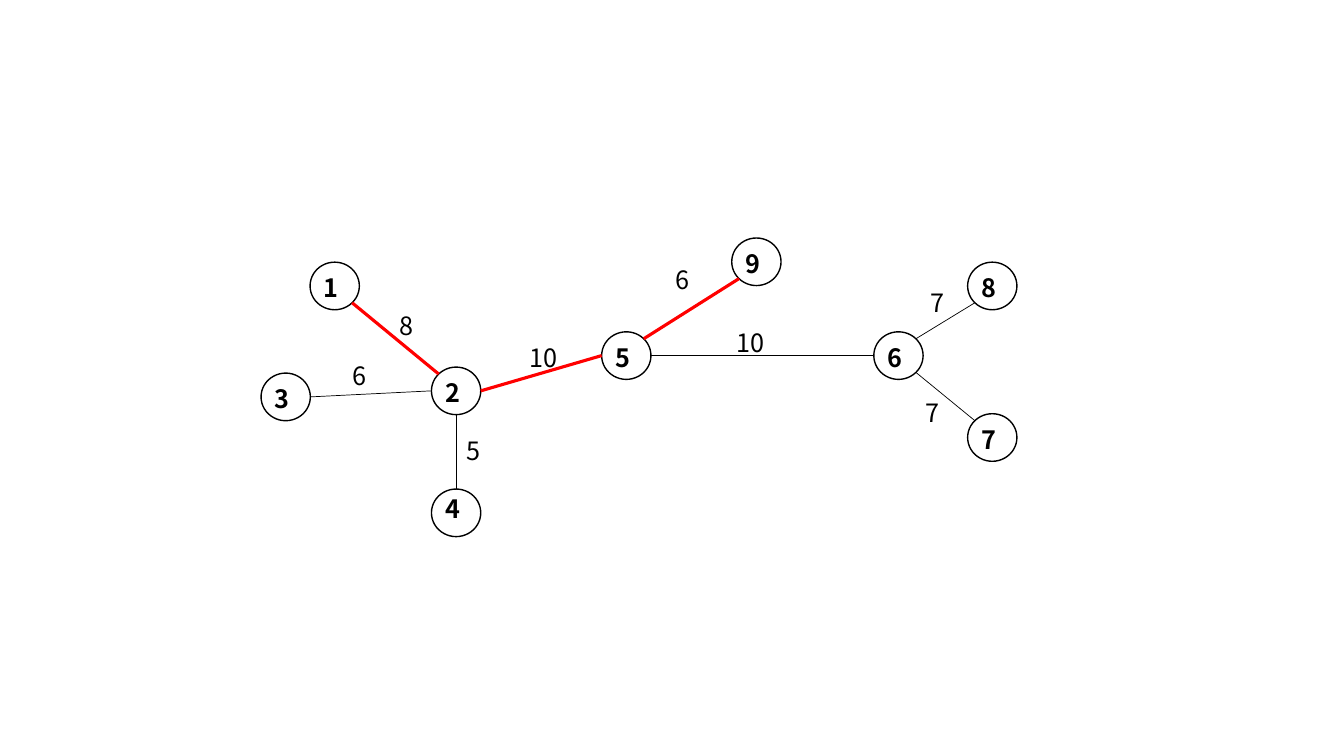
from pptx import Presentation
from pptx.dml.color import RGBColor
from pptx.enum.shapes import MSO_CONNECTOR, MSO_SHAPE
from pptx.enum.text import MSO_ANCHOR, MSO_AUTO_SIZE, PP_ALIGN
from pptx.oxml.ns import qn
from pptx.util import Pt
from lxml.etree import SubElement
from math import cos, radians, sin

FONT = "Noto Sans CJK KR"
BLACK, RED = "000000", "FF0000"
NODE_W, NODE_H = 35.2, 34

# Left and top of each node, from the corner of the graph
NODES = {
    "1": (35, 17.25), "2": (121.7, 92.2), "3": (0, 96.5),
    "4": (121.7, 179.3), "5": (243.3, 67), "6": (437.7, 67),
    "7": (504.7, 125.5), "8": (504.7, 17.25), "9": (336.2, 0),
}
# Top and bottom text margins
NODE_MARGINS = {"4": (0, 6)}
DEFAULT_MARGINS = (2.5, 0)

# Start, end, start angle (clockwise from the right), weight,
# label offset from the middle of the edge, on the red route
EDGES = [
    ("1", "2", 45, "8", (8, -9), True),
    ("3", "2", 0, "6", (-8.5, -13.3), False),
    ("9", "5", 135, "6", (-6.5, -21), True),
    ("5", "6", 0, "10", (-8.3, -9.5), False),
    ("2", "5", 0, "10", (1.4, -10.8), True),
    ("2", "4", 90, "5", (12.2, -0.7), False),
    ("6", "7", 45, "7", (-9, 11.5), False),
    ("6", "8", -45, "7", (-5.4, -13), False),
]


def rgb(color):
    return RGBColor.from_string(color)


def set_text(tf, text, bold=False):
    p = tf.paragraphs[0]
    p.alignment = PP_ALIGN.CENTER
    r = p.add_run()
    r.text = text
    r.font.color.rgb = rgb(BLACK)
    for name, value in {"name": FONT, "size": Pt(18), "bold": bold}.items():
        setattr(r.font, name, value)
    SubElement(r.font.fill._xPr, qn("a:ea")).set("typeface", FONT)


def add_node(s, x, y, name):
    sp = s.shapes.add_shape(MSO_SHAPE.OVAL, Pt(x), Pt(y), Pt(NODE_W), Pt(NODE_H))
    sp.shadow.inherit = False
    sp.fill.background()
    sp.line.color.rgb = rgb(BLACK)
    sp.line.width = Pt(1)
    top, bottom = NODE_MARGINS.get(name, DEFAULT_MARGINS)
    layout = {
        "margin_left": 0, "margin_right": Pt(5),
        "margin_top": Pt(top), "margin_bottom": Pt(bottom),
        "word_wrap": False, "vertical_anchor": MSO_ANCHOR.MIDDLE,
    }
    for key, value in layout.items():
        setattr(sp.text_frame, key, value)
    set_text(sp.text_frame, name, bold=True)


def rim_point(x, y, angle):
    """Point on the outline of the node whose corner is at x, y."""
    a = radians(angle)
    return x + NODE_W / 2 * (1 + cos(a)), y + NODE_H / 2 * (1 + sin(a))


def add_edge(s, start, end, color, width):
    line = s.shapes.add_connector(
        MSO_CONNECTOR.STRAIGHT, *(Pt(v) for v in (*start, *end)))
    line.line.color.rgb = rgb(color)
    line.line.width = Pt(width)
    SubElement(line._element.spPr, qn("a:effectLst"))


def add_weight(s, x, y, text):
    """Weight label centred on x, y."""
    w, h = 9 + 15.3 * len(text), 29
    sp = s.shapes.add_textbox(Pt(x - w / 2), Pt(y - h / 2), Pt(w), Pt(h))
    sp.text_frame.word_wrap = False
    sp.text_frame.auto_size = MSO_AUTO_SIZE.SHAPE_TO_FIT_TEXT
    set_text(sp.text_frame, text)


def add_graph(s, left, top):
    corners = {name: (left + x, top + y) for name, (x, y) in NODES.items()}
    for name, (x, y) in corners.items():
        add_node(s, x, y, name)
    for a, b, angle, weight, (dx, dy), on_route in EDGES:
        start = rim_point(*corners[a], angle)
        end = rim_point(*corners[b], angle + 180)
        add_edge(s, start, end, *((RED, 2.25) if on_route else (BLACK, 0.5)))
        add_weight(s, (start[0] + end[0]) / 2 + dx,
                   (start[1] + end[1]) / 2 + dy, weight)


def main():
    prs = Presentation()
    prs.slide_width, prs.slide_height = Pt(960), Pt(540)
    s = prs.slides.add_slide(prs.slide_layouts[6])
    add_graph(s, 186.5, 170)
    prs.save("out.pptx")


if __name__ == "__main__":
    main()
